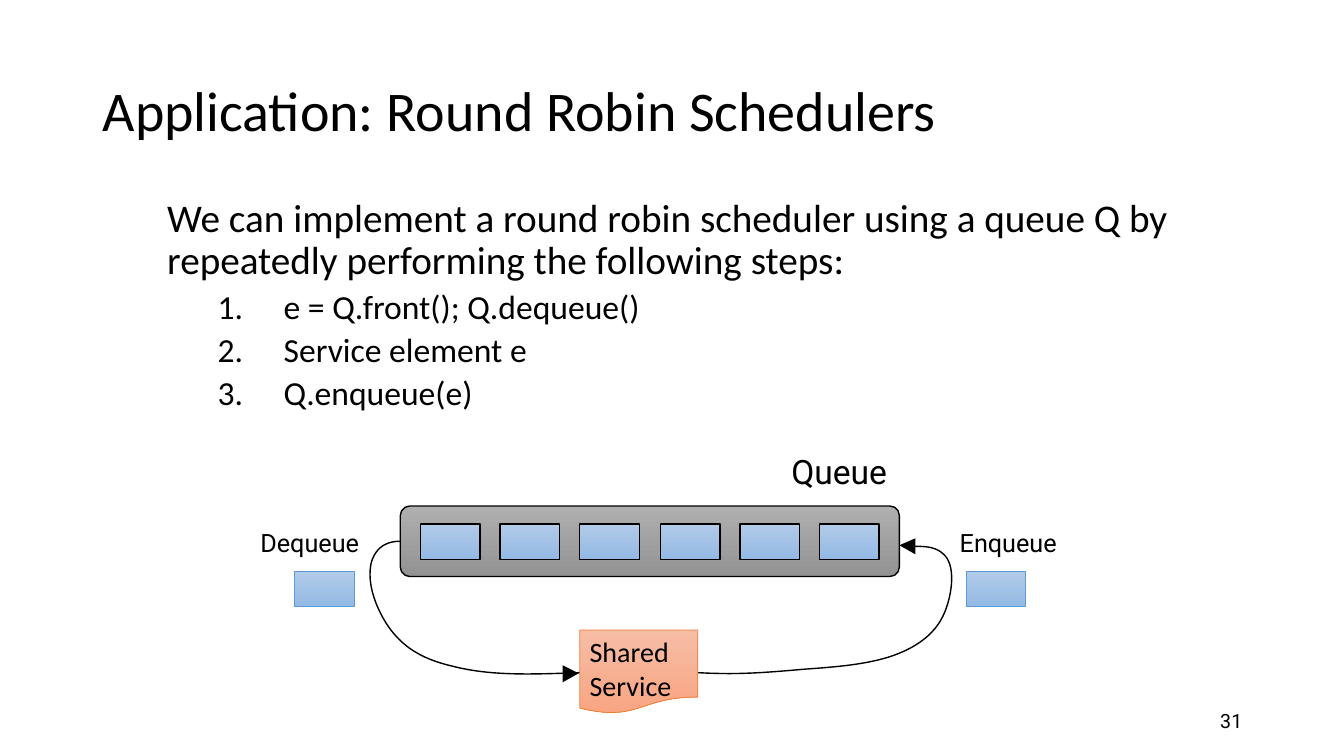
from dataclasses import dataclass

from lxml import etree
from pptx import Presentation
from pptx.dml.color import RGBColor
from pptx.enum.shapes import MSO_SHAPE
from pptx.enum.text import MSO_ANCHOR, MSO_AUTO_SIZE, PP_ALIGN
from pptx.oxml.ns import qn
from pptx.util import Pt

EMU_PER_PX = 9144
RECTANGLE = MSO_SHAPE.RECTANGLE
ROUNDED = MSO_SHAPE.ROUNDED_RECTANGLE
DOCUMENT = MSO_SHAPE.FLOWCHART_DOCUMENT
TOP, MIDDLE = MSO_ANCHOR.TOP, MSO_ANCHOR.MIDDLE
LEFT, RIGHT = PP_ALIGN.LEFT, PP_ALIGN.RIGHT
FIT_SHAPE = MSO_AUTO_SIZE.SHAPE_TO_FIT_TEXT

CELL_COUNT = 6
CELL_SIZE = (59, 35)
STEPS = [" e = Q.front(); Q.dequeue()", " Service element e", " Q.enqueue(e)"]

DEQUEUE_CURVE = [
    (0, 35), (-19, 35), (-26, 46), (-29, 57), (-32, 72), (-28, 87), (-23, 99),
    (-6, 139), (22, 152), (52, 159), (91, 169), (133, 167), (186, 165),
]
ENQUEUE_CURVE = [
    (288, 165), (307, 166), (309, 166), (311, 166), (339, 167), (366, 165), (400, 162),
    (427, 160), (458, 158), (484, 150), (503, 144), (519, 135), (530, 122),
    (535, 116), (539, 109), (542, 100), (548, 82), (550, 58), (539, 48),
    (535, 44), (530, 42), (525, 41), (520, 40), (514, 40), (506, 40),
]
DEQUEUE_HEAD = [(161, 175), (177, 166), (161, 158)]
ENQUEUE_HEAD = [(511, 48), (495, 39), (511, 32)]


@dataclass(frozen=True)
class Theme:
    """Colours, fonts and type sizes of the slide."""
    ink: str = "000000"
    queue: tuple = ("AFAFAF", "939393")
    cell: tuple = ("B1CBE9", "93B9E4")
    cell_line: str = "5B9BD5"
    service: tuple = ("F7BDA5", "F8A582")
    service_line: str = "ED7D31"
    body_font: str = "Calibri"
    label_font: str = "Roboto"
    title: int = 40
    intro: int = 28
    step: int = 24
    queue_label: int = 24
    service_label: int = 20
    label: int = 18
    page: int = 14


THEME = Theme()


def px(length):
    """Turn pixels into EMU."""
    return length * EMU_PER_PX


def style_paragraph(paragraph, size, font, align=LEFT):
    """Format every run of a paragraph."""
    paragraph.alignment = align
    for run in paragraph.runs:
        run.font.size = Pt(size)
        run.font.name = font
        run.font.color.rgb = RGBColor.from_string(THEME.ink)


def add_text(slide, box, text, size, font, align=LEFT, anchor=TOP, wrap=True):
    """Add a text box holding one paragraph and return its frame."""
    frame = slide.shapes.add_textbox(*map(px, box)).text_frame
    frame.word_wrap = wrap
    frame.vertical_anchor = anchor
    frame.text = text
    style_paragraph(frame.paragraphs[0], size, font, align)
    return frame


def set_line(shape, color, width):
    """Give a shape a solid outline and no shadow."""
    shape.shadow.inherit = False
    shape.line.color.rgb = RGBColor.from_string(color)
    shape.line.width = Pt(width)


def add_block(slide, kind, box, colors, line_color, line_width):
    """Add a preset shape with a top-to-bottom gradient."""
    shape = slide.shapes.add_shape(kind, *map(px, box))
    shape.fill.gradient()
    shape.fill.gradient_angle = 270
    for stop, color in zip(shape.fill.gradient_stops, colors):
        stop.color.rgb = RGBColor.from_string(color)
    set_line(shape, line_color, line_width)
    return shape


def add_outline(slide, origin, points, close):
    """Add a freeform whose points are relative to the origin."""
    builder = slide.shapes.build_freeform(*points[0], scale=EMU_PER_PX)
    builder.add_line_segments(points[1:], close=close)
    return builder.convert_to_shape(*map(px, origin))


def add_curve(slide, origin, points):
    """Add an open Bezier curve, three points to each segment."""
    shape = add_outline(slide, origin, points, False)
    segments = list(shape._element.iter(qn("a:lnTo")))
    for index in range(0, len(segments), 3):
        outline = segments[index].getparent()
        bezier = etree.SubElement(outline, qn("a:cubicBezTo"))
        for segment in segments[index:index + 3]:
            bezier.append(segment[0])
            outline.remove(segment)
    shape.fill.background()
    set_line(shape, THEME.ink, 1)


def add_head(slide, origin, points):
    """Add a solid triangular arrowhead."""
    shape = add_outline(slide, origin, points, True)
    shape.shadow.inherit = False
    shape.fill.solid()
    shape.fill.fore_color.rgb = RGBColor.from_string(THEME.ink)
    shape.line.fill.background()


def add_title(slide, box):
    """Place the slide title."""
    frame = add_text(slide, box, "Application: Round Robin Schedulers",
                     THEME.title, THEME.body_font, anchor=MIDDLE)
    frame.paragraphs[0].line_spacing = 0.9


def add_steps(slide, box):
    """Place the introduction and its numbered steps."""
    frame = add_text(slide, box, "We can implement a round robin scheduler using a queue Q by "
                     "repeatedly performing the following steps:", THEME.intro, THEME.body_font)
    frame.paragraphs[0].line_spacing = 0.9
    frame.paragraphs[0].space_before = Pt(10)
    for step in STEPS:
        paragraph = frame.add_paragraph()
        paragraph.text = step
        paragraph.level = 1
        paragraph.line_spacing = 0.9
        paragraph.space_before = Pt(5)
        style_paragraph(paragraph, THEME.step, THEME.body_font)
        properties = paragraph._p.get_or_add_pPr()
        properties.set("marL", str(px(108)))
        properties.set("indent", str(px(-58)))
        etree.SubElement(properties, qn("a:buAutoNum"), type="arabicPeriod")


def add_queue(slide, box):
    """Place the queue with its evenly spaced cells and label."""
    left, top, width, height = box
    queue = add_block(slide, ROUNDED, box, THEME.queue, THEME.ink, 1)
    queue.adjustments[0] = 0.135
    cell_width, cell_height = CELL_SIZE
    margin = 20
    span = width - 2 * margin - cell_width
    for index in range(CELL_COUNT):
        cell_left = left + margin + round(span * index / (CELL_COUNT - 1))
        cell_box = (cell_left, top + (height - cell_height) // 2 + 1, *CELL_SIZE)
        add_block(slide, RECTANGLE, cell_box, THEME.cell, THEME.ink, 1)
    frame = add_text(slide, (left + width - 117, top - 60, 117, 51), "Queue",
                     THEME.queue_label, THEME.label_font, wrap=False)
    frame.auto_size = FIT_SHAPE


def add_service_loop(slide, box):
    """Place the arrows, service and moving elements around the queue box."""
    left, top, width, _ = box
    for curve, head in ((DEQUEUE_CURVE, DEQUEUE_HEAD), (ENQUEUE_CURVE, ENQUEUE_HEAD)):
        add_curve(slide, (left, top), curve)
        add_head(slide, (left, top), head)
    service = add_block(slide, DOCUMENT, (left + 178, top + 123, 117, 83),
                        THEME.service, THEME.service_line, 0.5)
    frame = service.text_frame
    frame.word_wrap = True
    frame.vertical_anchor = TOP
    frame.paragraphs[0].text = "Shared \vService"
    style_paragraph(frame.paragraphs[0], THEME.service_label, THEME.body_font)
    right = left + width
    for text, label_left, label_width, align, cell_left in (
        ("Dequeue", left - 214, 183, RIGHT, left - 105),
        ("Enqueue", right + 50, 208, LEFT, right + 66),
    ):
        add_text(slide, (label_left, top + 16, label_width, 40), text,
                 THEME.label, THEME.label_font, align)
        add_block(slide, RECTANGLE, (cell_left, top + 65, *CELL_SIZE),
                  THEME.cell, THEME.cell_line, 0.5)


def main():
    """Build and save the slide."""
    presentation = Presentation()
    presentation.slide_width, presentation.slide_height = px(1333), px(750)
    slide = presentation.slides.add_slide(presentation.slide_layouts[6])
    queue_box = (397, 502, 495, 70)
    add_title(slide, (92, 40, 1150, 145))
    add_steps(slide, (156, 192, 1111, 243))
    add_text(slide, (942, 695, 300, 40), "31", THEME.page, THEME.label_font, RIGHT, MIDDLE)
    add_queue(slide, queue_box)
    add_service_loop(slide, queue_box)
    presentation.save("out.pptx")


if __name__ == "__main__":
    main()
